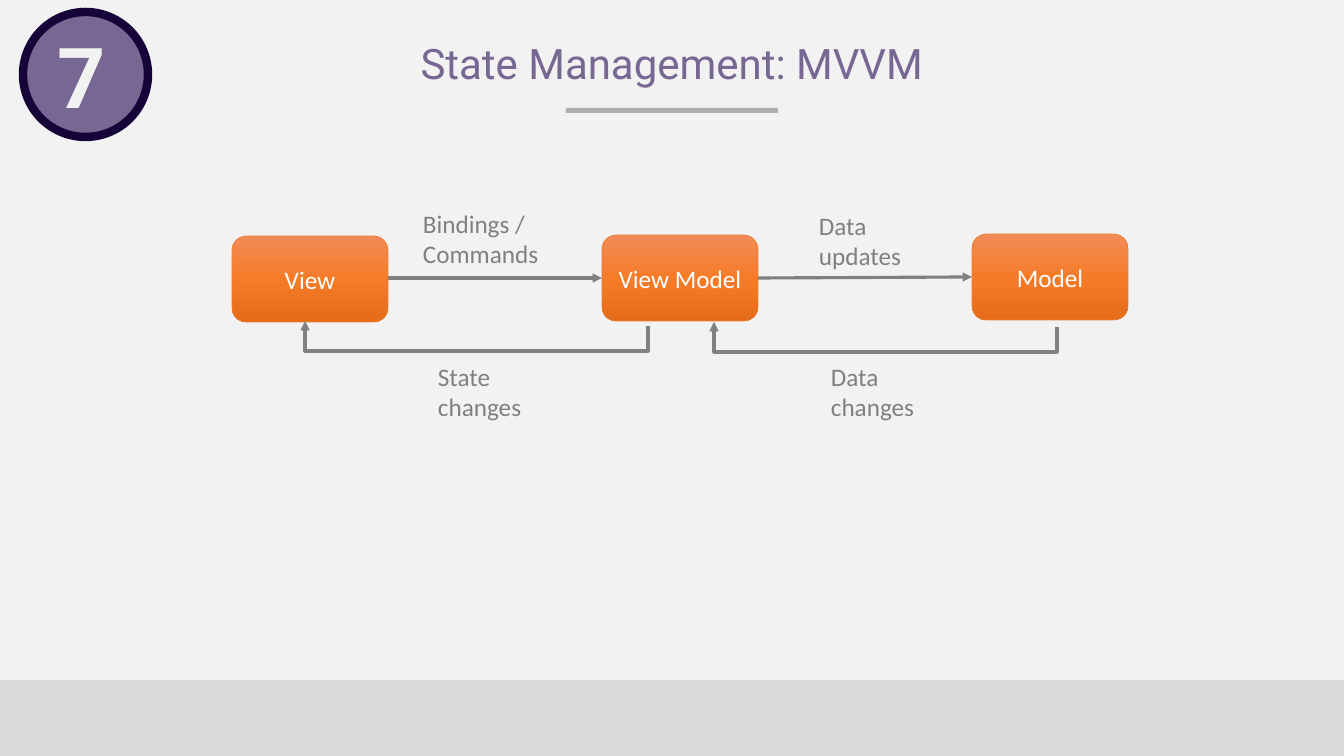
from copy import deepcopy

from lxml import etree
from pptx import Presentation
from pptx import util as u
from pptx.dml.color import RGBColor
from pptx.enum import shapes, text
from pptx.oxml.ns import qn

PX = 914400 / 100.8
GRAY, PURPLE, PALE = "808080", "766793", "F2F2F2"


def color(value):
    return RGBColor.from_string(value)


def write(shape, words, size, font, ink, align=text.PP_ALIGN.CENTER,
          anchor=text.MSO_ANCHOR.MIDDLE, inset=None):
    frame = shape.text_frame
    frame.word_wrap = True
    frame.vertical_anchor = anchor
    if inset is not None:
        frame.margin_left = frame.margin_right = round(inset * PX)
        frame.margin_top = frame.margin_bottom = round(inset * PX)
    paragraph = frame.paragraphs[0]
    paragraph.text = words
    paragraph.alignment = align
    paragraph.font.size = u.Pt(size)
    paragraph.font.name = font
    paragraph.font.color.rgb = color(ink)
    return paragraph


presentation = Presentation()
presentation.slide_width = round(1344 * PX)
presentation.slide_height = round(756 * PX)
slide = presentation.slides.add_slide(presentation.slide_layouts[6])
slide.background.fill.solid()
slide.background.fill.fore_color.rgb = color(PALE)

# Footer band, title rule and number badge
for kind, box, fill in [
    (shapes.MSO_SHAPE.RECTANGLE, (0, 680, 1344, 76), "D9D9D9"),
    (shapes.MSO_SHAPE.RECTANGLE, (566, 108, 212, 5), "AFAFAF"),
    (shapes.MSO_SHAPE.OVAL, (23, 12, 125, 125), PURPLE),
]:
    shape = slide.shapes.add_shape(kind, *[round(n * PX) for n in box])
    shape.shadow.inherit = False
    shape.fill.solid()
    shape.fill.fore_color.rgb = color(fill)
    if kind == shapes.MSO_SHAPE.OVAL:
        shape.line.color.rgb = color("160438")
        shape.line.width = u.Pt(6)
    else:
        shape.line.fill.background()

# Title and badge number
title = slide.shapes.add_textbox(*[round(n * PX) for n in (93, 40, 1158, 52)])
paragraph = write(title, "State Management: MVVM", 30, "Roboto", PURPLE, inset=0)
paragraph.line_spacing = 0.9
number = slide.shapes.add_textbox(*[round(n * PX) for n in (16, 12, 131, 125)])
paragraph = write(number, "7", 60, "Roboto", PALE, inset=5)
paragraph.font.bold = True

# Component boxes
for name, left, top in [("View", 232, 236), ("View Model", 602, 235), ("Model", 972, 234)]:
    component = slide.shapes.add_shape(
        shapes.MSO_SHAPE.ROUNDED_RECTANGLE,
        *[round(n * PX) for n in (left, top, 156, 86)])
    component.shadow.inherit = False
    component.fill.gradient()
    component.fill.gradient_angle = 270
    stops = component._element.spPr.find(".//" + qn("a:gsLst"))
    stops.append(deepcopy(stops[-1]))
    for stop, position, shade in zip(component.fill.gradient_stops, (0, 0.5, 1),
                                     ("F18C57", "F67B28", "E56C19")):
        stop.position = position
        stop.color.rgb = color(shade)
    component.line.color.rgb = color("ED7D31")
    component.line.width = u.Pt(0.5)
    write(component, name, 18, "Calibri", "FFFFFF")

# Arrows: straight ones forward, bent ones back
arrows = []
for start, end in [((388, 278), (602, 278)), ((758, 278), (972, 277))]:
    ends = [round(n * PX) for n in start + end]
    arrows.append(slide.shapes.add_connector(shapes.MSO_CONNECTOR.STRAIGHT, *ends))
for right, left, top in [(648, 305, 321), (1057, 714, 322)]:
    builder = slide.shapes.build_freeform(right, top + 5, scale=PX)
    builder.add_line_segments([(right, top + 30), (left, top + 30), (left, top)], close=False)
    bent = builder.convert_to_shape()
    bent.fill.background()
    arrows.append(bent)
for arrow in arrows:
    arrow.line.color.rgb = color(GRAY)
    arrow.line.width = u.Pt(2.25)
    properties = arrow._element.spPr
    etree.SubElement(properties.find(qn("a:ln")), qn("a:tailEnd"), type="triangle")
    etree.SubElement(properties, qn("a:effectLst"))

# Arrow labels
for words, left, top, width in [
    ("Bindings / Commands", 413, 203, 195),
    ("Data updates", 809, 205, 129),
    ("State changes", 428, 356, 133),
    ("Data changes", 821, 356, 130),
]:
    label = slide.shapes.add_textbox(*[round(n * PX) for n in (left, top, width, 71)])
    write(label, words, 18, "Calibri", GRAY, text.PP_ALIGN.LEFT, text.MSO_ANCHOR.TOP)

presentation.save("out.pptx")
